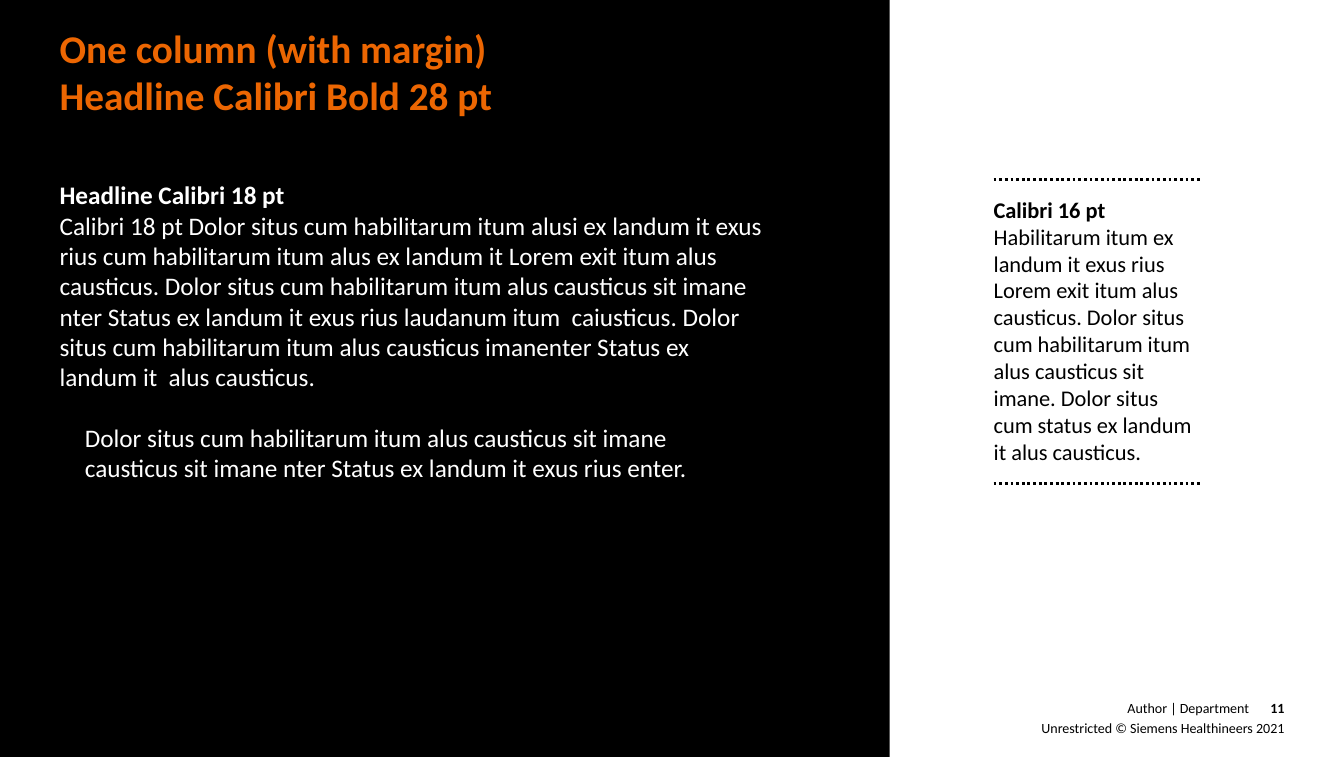
from copy import deepcopy

from pptx import Presentation
from pptx.dml.color import RGBColor
from pptx.enum.dml import MSO_LINE
from pptx.enum.shapes import MSO_CONNECTOR, MSO_SHAPE
from pptx.enum.text import MSO_ANCHOR, MSO_AUTO_SIZE, PP_ALIGN
from pptx.oxml.ns import qn
from pptx.util import Emu, Pt

BLACK = RGBColor(0x00, 0x00, 0x00)
WHITE = RGBColor(0xFF, 0xFF, 0xFF)
ORANGE = RGBColor(0xEC, 0x66, 0x02)
LEFT, RIGHT = PP_ALIGN.LEFT, PP_ALIGN.RIGHT
TOP, NO_FIT = MSO_ANCHOR.TOP, MSO_AUTO_SIZE.NONE
RECTANGLE, STRAIGHT = MSO_SHAPE.RECTANGLE, MSO_CONNECTOR.STRAIGHT
DOTTED = MSO_LINE.ROUND_DOT
TWO_CONTENT = 3
EMU_PER_PX = 9144
FONT = "Calibri"

WIDTH, HEIGHT = 1331, 750
PANEL_WIDTH = 881
MAIN_LEFT, MAIN_WIDTH = 59, 699
CONTENT_TOP = 178
SIDE_LEFT, SIDE_WIDTH, SIDE_HEIGHT = 984, 205, 301


def px(length):
    """Turn pixels into EMU."""
    return Emu(length * EMU_PER_PX)


class SlideBuilder:
    """Hold the style and the current slide."""

    def __init__(self, presentation):
        """Add the slide to the presentation."""
        self.slide = presentation.slides.add_slide(
            presentation.slide_layouts[TWO_CONTENT])
        self.shapes = self.slide.shapes

    def panel(self, left, top, width, height, color):
        """Draw a filled area behind everything else."""
        panel = self.shapes.add_shape(
            RECTANGLE, px(left), px(top), px(width), px(height))
        panel.shadow.inherit = False
        panel.fill.solid()
        panel.fill.fore_color.rgb = color
        panel.line.fill.background()
        self.shapes._spTree.insert(2, panel._element)

    def rule(self, left, top, width):
        """Draw a dotted horizontal line."""
        rule = self.shapes.add_connector(
            STRAIGHT, px(left), px(top), px(left + width), px(top))
        rule.line.color.rgb = BLACK
        rule.line.width = Pt(2)
        rule.line.dash_style = DOTTED
        properties = rule._element.spPr
        properties.append(properties.makeelement(qn("a:effectLst"), {}))

    def placeholder(self, index, box, paragraphs, size, color, inset=0):
        """Move and fill a template placeholder."""
        self._fill(self.slide.placeholders[index], box, paragraphs,
                   size, color, LEFT, inset)

    def label(self, box, text, bold=False):
        """Add a right-aligned footer text."""
        left, top, width, height = map(px, box)
        self._fill(self.shapes.add_textbox(left, top, width, height), box,
                   [(text, bold, 0, 0, 0)], 10, BLACK, RIGHT, 0)

    def _fill(self, holder, box, paragraphs, size, color, alignment, inset):
        """Place a text holder and format its paragraphs."""
        holder.left, holder.top, holder.width, holder.height = map(px, box)
        frame = holder.text_frame
        frame.text = "\n".join(paragraph[0] for paragraph in paragraphs)
        frame.word_wrap = True
        frame.auto_size = NO_FIT
        frame.vertical_anchor = TOP
        frame.margin_left = frame.margin_right = 0
        frame.margin_top = frame.margin_bottom = px(inset)
        for paragraph, (_, bold, level, indent, gap) in zip(
                frame.paragraphs, paragraphs):
            properties = paragraph._p.get_or_add_pPr()
            properties.set("marL", str(px(indent)))
            properties.set("indent", "0")
            properties.append(properties.makeelement(qn("a:buNone"), {}))
            paragraph.level = level
            paragraph.alignment = alignment
            paragraph.line_spacing = 1.0
            paragraph.space_before = Pt(gap)
            paragraph.space_after = Pt(0)
            for run in paragraph.runs:
                run.font.name = FONT
                run.font.size = Pt(size)
                run.font.bold = bold
                run.font.color.rgb = color
            for line_break in paragraph._p.findall(qn("a:br")):
                line_break.append(deepcopy(paragraph.runs[0]._r.rPr))


def main():
    """Build and save the slide."""
    presentation = Presentation()
    presentation.slide_width = px(WIDTH)
    presentation.slide_height = px(HEIGHT)
    builder = SlideBuilder(presentation)

    builder.panel(0, 0, PANEL_WIDTH, HEIGHT, BLACK)
    builder.placeholder(
        0, (MAIN_LEFT, 24, MAIN_WIDTH, 91),
        [("One column (with margin)\vHeadline Calibri Bold 28 pt",
          True, 0, 0, 0)], 28, ORANGE)
    builder.placeholder(
        1, (MAIN_LEFT, CONTENT_TOP, MAIN_WIDTH, 500),
        [("Headline Calibri 18 pt", True, 0, 0, 0),
         ("Calibri 18 pt Dolor situs cum habilitarum itum alusi ex landum it "
          "exus rius cum habilitarum itum alus ex landum it Lorem exit itum "
          "alus causticus. Dolor situs cum habilitarum itum alus causticus "
          "sit imane nter Status ex landum it exus rius laudanum itum  "
          "caiusticus. Dolor situs cum habilitarum itum alus causticus "
          "imanenter Status ex landum it  alus causticus.", False, 1, 0, 0),
         ("Dolor situs cum habilitarum itum alus causticus sit imane "
          "causticus sit imane nter Status ex landum it exus rius enter.",
          False, 2, 25, 21.6)], 18, WHITE)

    builder.placeholder(
        2, (SIDE_LEFT, CONTENT_TOP, SIDE_WIDTH, SIDE_HEIGHT),
        [("Calibri 16 pt", True, 0, 0, 0),
         ("Habilitarum itum ex landum it exus rius Lorem exit itum alus "
          "causticus. Dolor situs cum habilitarum itum alus causticus sit "
          "imane. Dolor situs cum status ex landum it alus causticus.",
          False, 1, 0, 0)], 16, BLACK, inset=16)
    for rule_top in (CONTENT_TOP, CONTENT_TOP + SIDE_HEIGHT):
        builder.rule(SIDE_LEFT, rule_top, SIDE_WIDTH)

    builder.label((881, 693, 356, 16), "Author | Department")
    builder.label((1241, 693, 31, 16), "11", bold=True)
    builder.label((876, 713, 396, 17),
                  "Unrestricted © Siemens Healthineers 2021")
    presentation.save("out.pptx")


if __name__ == "__main__":
    main()
